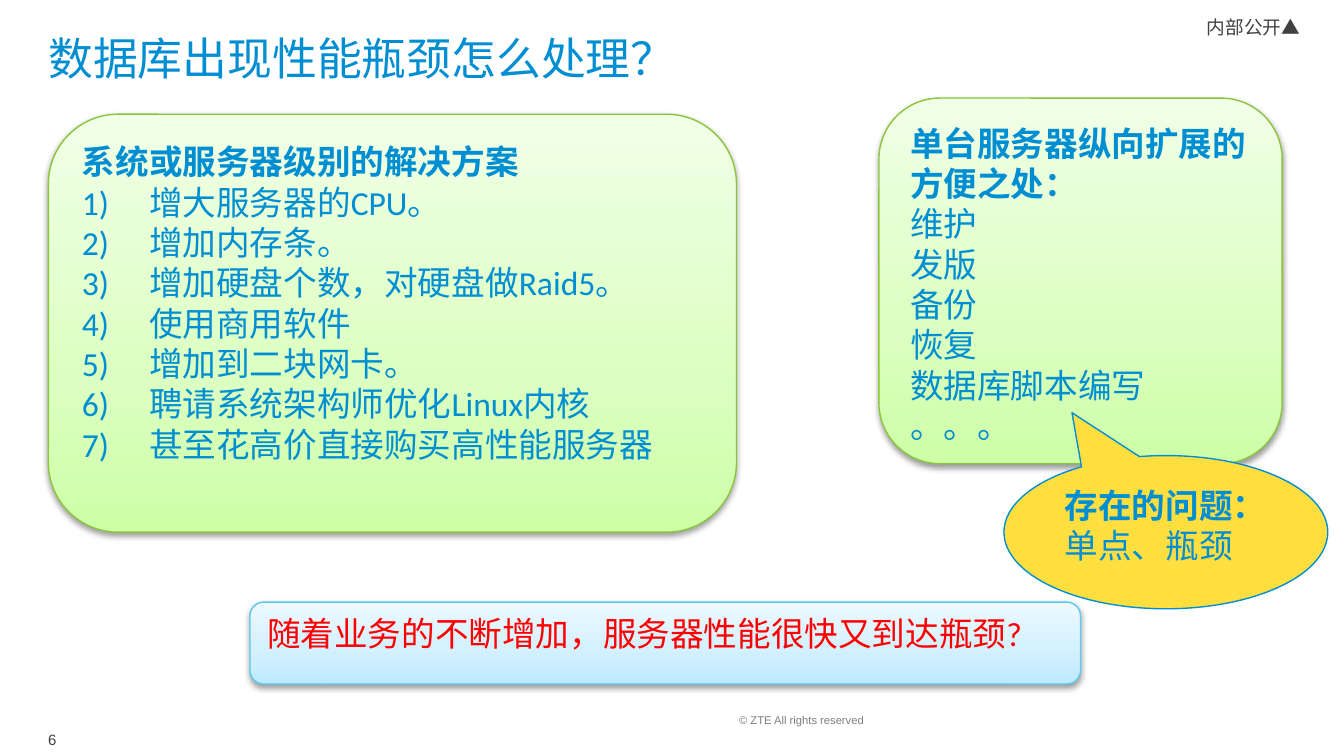
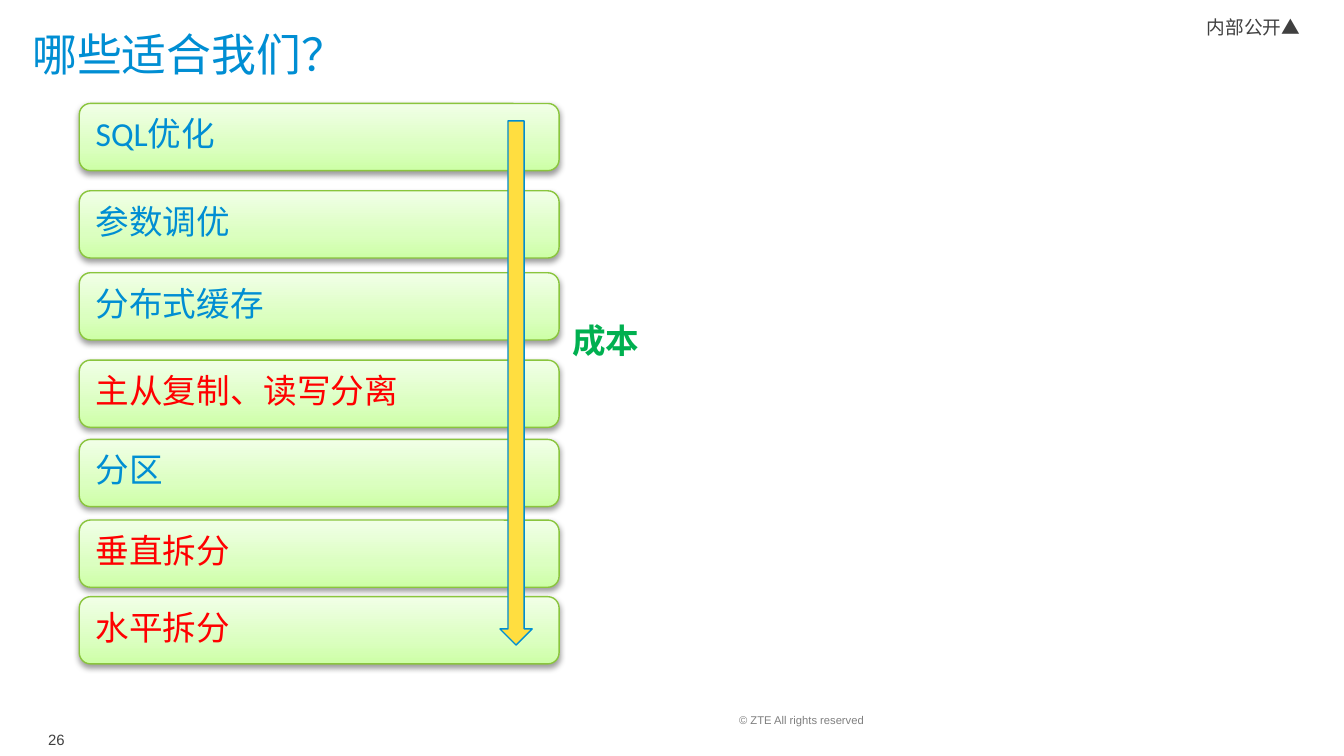
from dataclasses import dataclass

from lxml import etree
from pptx import Presentation
from pptx.dml.color import RGBColor
from pptx.enum.shapes import MSO_SHAPE
from pptx.enum.text import MSO_ANCHOR, PP_ALIGN
from pptx.oxml.ns import qn
from pptx.util import Inches, Pt

ROUNDED = MSO_SHAPE.ROUNDED_RECTANGLE
CALLOUT = MSO_SHAPE.OVAL_CALLOUT
DOWN_ARROW = MSO_SHAPE.DOWN_ARROW
TOP = MSO_ANCHOR.TOP
MIDDLE = MSO_ANCHOR.MIDDLE
LEFT = PP_ALIGN.LEFT

BLUE = "008ED3"
RED = "FF0000"
GREEN = "00B050"
YELLOW = "FFDE40"
DARK_GRAY = "404040"
MID_GRAY = "7F7F7F"
BODY_FONT = "Calibri"
LIST_INDENT = Inches(0.5)


@dataclass(frozen=True)
class Area:
    left: float
    top: float
    width: float
    height: float

    def lengths(self) -> tuple:
        return tuple(Inches(value) for value in (self.left, self.top, self.width, self.height))


@dataclass(frozen=True)
class Line:
    text: str
    color: str = BLUE
    bold: bool = False
    size: float = 18
    font: str = BODY_FONT
    numbered: bool = False


@dataclass(frozen=True)
class PanelStyle:
    stops: tuple
    border: str


@dataclass(frozen=True)
class CostStep:
    text: str
    top: float
    color: str = BLUE


GREEN_PANEL = PanelStyle(((0, "CDFFA6"), (35, "DBFFC0"), (100, "F1FFE7")), "8AC53D")
BLUE_PANEL = PanelStyle(((0, "BEEAFF"), (35, "D1F0FF"), (100, "EDF9FF")), "5BC9EE")

SOLUTIONS = (
    "增大服务器的CPU。",
    "增加内存条。",
    "增加硬盘个数，对硬盘做Raid5。",
    "使用商用软件",
    "增加到二块网卡。",
    "聘请系统架构师优化Linux内核",
    "甚至花高价直接购买高性能服务器",
)
BENEFITS = ("维护", "发版", "备份", "恢复", "数据库脚本编写", "。。。")
COST_STEPS = (
    CostStep("SQL优化", 0.77),
    CostStep("参数调优", 1.42),
    CostStep("分布式缓存", 2.03),
    CostStep("主从复制、读写分离", 2.68, RED),
    CostStep("分区", 3.27),
    CostStep("垂直拆分", 3.87, RED),
    CostStep("水平拆分", 4.44, RED),
)


def rgb(color: str) -> RGBColor:
    return RGBColor.from_string(color)


def add_element(parent, tag: str, **values):
    attributes = {name: str(value) for name, value in values.items()}
    return etree.SubElement(parent, qn(tag), attributes)


def write_lines(shape, lines: list[Line], anchor=TOP, inset: bool = True) -> None:
    frame = shape.text_frame
    settings = {"word_wrap": True, "vertical_anchor": anchor}
    if not inset:
        sides = ("left", "top", "right", "bottom")
        settings.update({f"margin_{side}": 0 for side in sides})
    for name, value in settings.items():
        setattr(frame, name, value)
    for index, line in enumerate(lines):
        para = frame.add_paragraph() if index else frame.paragraphs[0]
        para.alignment = LEFT
        if line.numbered:
            properties = para._p.get_or_add_pPr()
            properties.set("marL", str(LIST_INDENT))
            properties.set("indent", str(-LIST_INDENT))
            add_element(properties, "a:buFont", typeface="+mj-lt")
            add_element(properties, "a:buAutoNum", type="arabicParenR")
        span = para.add_run()
        span.text = line.text
        formats = {"name": line.font, "size": Pt(line.size), "bold": line.bold}
        for name, value in formats.items():
            setattr(span.font, name, value)
        span.font.color.rgb = rgb(line.color)
        add_element(span._r.get_or_add_rPr(), "a:ea", typeface=line.font)


def add_text(page, area: Area, line: Line, anchor=TOP, inset: bool = True) -> None:
    box = page.shapes.add_textbox(*area.lengths())
    write_lines(box, [line], anchor, inset)


def add_outlined(page, kind, area: Area, border: str):
    shape = page.shapes.add_shape(kind, *area.lengths())
    shape.shadow.inherit = False
    shape.line.color.rgb = rgb(border)
    shape.line.width = Pt(0.75)
    return shape


def add_solid(page, kind, area: Area):
    shape = add_outlined(page, kind, area, BLUE)
    shape.fill.solid()
    shape.fill.fore_color.rgb = rgb(YELLOW)
    return shape


def add_panel(page, area: Area, style: PanelStyle, lines: list[Line]) -> None:
    panel = add_outlined(page, ROUNDED, area, style.border)
    panel.fill.gradient()
    panel.fill.gradient_angle = 90
    properties = panel._element.spPr
    stop_list = properties.find(".//" + qn("a:gsLst"))
    for stop in list(stop_list):
        stop_list.remove(stop)
    for position, color in style.stops:
        stop = add_element(stop_list, "a:gs", pos=position * 1000)
        add_element(stop, "a:srgbClr", val=color)
    effects = properties.find(qn("a:effectLst"))
    shadow = add_element(effects, "a:outerShdw", blurRad=Pt(3.1), dist=Pt(1.6),
                         dir=90 * 60000, rotWithShape=0)
    shade = add_element(shadow, "a:srgbClr", val="000000")
    add_element(shade, "a:alpha", val=38000)
    write_lines(panel, lines)


def add_page(deck, number: int, title: str, title_area: Area):
    page = deck.slides.add_slide(deck.slide_layouts[6])
    add_text(page, Area(5.5, 5.31, 2.4, 0.19),
             Line("© ZTE All rights reserved", MID_GRAY, size=6, font="Arial"), inset=False)
    add_text(page, Area(0.26, 5.3, 0.46, 0.4),
             Line(str(number), DARK_GRAY, size=8, font="Arial"), MIDDLE)
    add_text(page, Area(8.98, 0.12, 0.85, 0.25),
             Line("内部公开▲", DARK_GRAY, size=10, font="Noto Sans CJK SC"), inset=False)
    add_text(page, title_area, Line(title, size=24), inset=False)
    return page


def build_bottleneck_page(deck) -> None:
    page = add_page(deck, 6, "数据库出现性能瓶颈怎么处理？", Area(0.36, 0.23, 9.31, 0.79))
    solutions = [Line("系统或服务器级别的解决方案", bold=True)]
    solutions += [Line(text, numbered=True) for text in SOLUTIONS]
    add_panel(page, Area(0.36, 0.85, 5.12, 3.11), GREEN_PANEL, solutions)
    benefits = [Line("单台服务器纵向扩展的方便之处：", bold=True)]
    benefits += [Line(text) for text in BENEFITS]
    add_panel(page, Area(6.54, 0.73, 3, 2.72), GREEN_PANEL, benefits)
    add_panel(page, Area(1.86, 4.48, 6.18, 0.61), BLUE_PANEL,
              [Line("随着业务的不断增加，服务器性能很快又到达瓶颈?", RED)])
    callout = add_solid(page, CALLOUT, Area(7.47, 3.39, 2.41, 1.14))
    callout.adjustments[0] = -0.29
    callout.adjustments[1] = -0.78
    write_lines(callout, [Line("存在的问题：", bold=True), Line("单点、瓶颈")])


def build_choice_page(deck) -> None:
    page = add_page(deck, 26, "哪些适合我们？", Area(0.24, 0.2, 9.31, 0.57))
    for step in COST_STEPS:
        add_panel(page, Area(0.59, step.top, 3.57, 0.5), GREEN_PANEL,
                  [Line(step.text, step.color)])
    add_solid(page, DOWN_ARROW, Area(3.72, 0.9, 0.24, 3.9))
    add_text(page, Area(4.16, 2.33, 1.15, 0.4), Line("成本", GREEN, bold=True))


def main() -> None:
    deck = Presentation()
    deck.slide_width = Inches(10)
    deck.slide_height = Inches(10 * 9 / 16)
    build_bottleneck_page(deck)
    build_choice_page(deck)
    deck.save("out.pptx")


if __name__ == "__main__":
    main()
